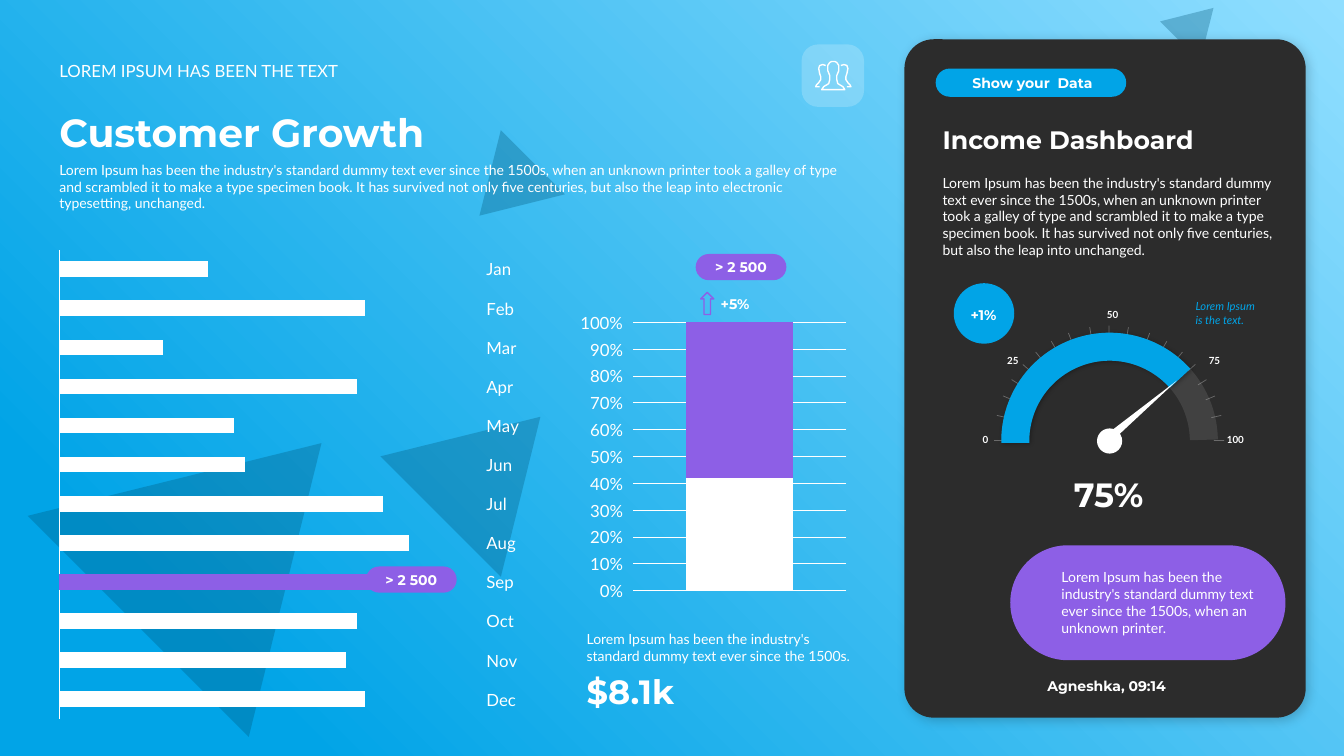
import math
import lxml.etree
import pptx
import pptx.chart.data
import pptx.dml.color
import pptx.enum.chart
import pptx.enum.shapes
import pptx.enum.text
import pptx.oxml
import pptx.oxml.ns
import pptx.util

Inches = pptx.util.Inches
Pt = pptx.util.Pt
qn = pptx.oxml.ns.qn
Shape = pptx.enum.shapes.MSO_SHAPE
Align = pptx.enum.text.PP_ALIGN
Anchor = pptx.enum.text.MSO_ANCHOR
AutoSize = pptx.enum.text.MSO_AUTO_SIZE
ChartType = pptx.enum.chart.XL_CHART_TYPE
LabelPosition = pptx.enum.chart.XL_TICK_LABEL_POSITION
TickMark = pptx.enum.chart.XL_TICK_MARK

WHITE, BLUE, PURPLE, DARK, SHADE = "FFFFFF", "01A4E7", "8D5FE6", "2C2C2C", "005274"
BODY, HEADING = "Lato", "Montserrat"
LOREM = "Lorem Ipsum has been the industry's standard dummy text ever since the 1500s"
STORY = LOREM + (", when an unknown printer took a galley of type and scrambled it to make "
                 "a type specimen book. It has survived not only five centuries, but also the leap into ")


def color(value):
    return pptx.dml.color.RGBColor.from_string(value)


class Board:
    def __init__(self, slide):
        self.slide = slide
        self.shapes = slide.shapes

    def paint(self, fill, value, alpha=100):
        fill.solid()
        fill.fore_color.rgb = color(value)
        if alpha < 100:
            element = fill._xPr.find(".//" + qn("a:srgbClr"))
            lxml.etree.SubElement(element, qn("a:alpha"), val=str(alpha * 1000))

    def stroke(self, line, value, width, alpha=100):
        self.paint(line.fill, value, alpha)
        line.width = Pt(width)

    def shadow(self, shape, alpha, blur, distance):
        effects = shape._element.spPr.find(qn("a:effectLst"))
        outer = lxml.etree.SubElement(effects, qn("a:outerShdw"), blurRad=str(Pt(blur)),
                                      dist=str(Pt(distance)), dir="2700000", rotWithShape="0")
        shade = lxml.etree.SubElement(outer, qn("a:srgbClr"), val="000000")
        lxml.etree.SubElement(shade, qn("a:alpha"), val=str(alpha * 1000))

    def shape(self, kind, box, fill=None, alpha=100, rotation=0, adjust=(), line=None):
        shape = self.shapes.add_shape(kind, *map(Inches, box))
        shape.shadow.inherit = False
        shape.rotation = rotation
        for index, value in enumerate(adjust):
            shape.adjustments[index] = value
        if fill:
            self.paint(shape.fill, fill, alpha)
        else:
            shape.fill.background()
        if line:
            self.stroke(shape.line, *line)
        else:
            shape.line.fill.background()
        return shape

    def label(self, shape, words, size, font, ink=WHITE, align=Align.LEFT, anchor=Anchor.TOP,
              insets=(0.1, 0.05), wrap=True, italic=False, bold=None, after=0):
        frame = shape.text_frame
        frame.word_wrap = wrap
        frame.vertical_anchor = anchor
        frame.margin_left = frame.margin_right = Inches(insets[0])
        frame.margin_top = frame.margin_bottom = Inches(insets[1])
        paragraph = frame.paragraphs[0]
        paragraph.text = words
        paragraph.alignment = align
        paragraph.space_after = Pt(after)
        paragraph.font.name = font
        paragraph.font.size = Pt(size)
        paragraph.font.bold = font == HEADING if bold is None else bold
        paragraph.font.italic = italic
        paragraph.font.color.rgb = color(ink)

    def text(self, box, words, size, font, **style):
        shape = self.shapes.add_textbox(*map(Inches, box))
        self.label(shape, words, size, font, **style)
        shape.text_frame.auto_size = AutoSize.SHAPE_TO_FIT_TEXT

    def badge(self, left, top, words):
        shape = self.shape(Shape.ROUNDED_RECTANGLE, (left, top, 0.9, 0.26), PURPLE, adjust=[0.5])
        self.label(shape, words, 10, HEADING, align=Align.CENTER, anchor=Anchor.MIDDLE, insets=(0, 0))

    def line(self, start, end, value, width, alpha):
        connector = self.shapes.add_connector(pptx.enum.shapes.MSO_CONNECTOR.STRAIGHT,
                                              *map(Inches, (*start, *end)))
        self.stroke(connector.line, value, width, alpha)
        lxml.etree.SubElement(connector._element.spPr, qn("a:effectLst"))

    def outline(self, points, close):
        builder = self.shapes.build_freeform(*map(Inches, points[0]))
        builder.add_line_segments([tuple(map(Inches, point)) for point in points[1:]], close=close)
        shape = builder.convert_to_shape()
        shape.shadow.inherit = False
        shape.fill.background()
        self.stroke(shape.line, WHITE, 1)

    def chart(self, kind, box, categories, series, gap, overlap, plot_area):
        data = pptx.chart.data.CategoryChartData()
        data.categories = categories
        for name, values, *_ in series:
            data.add_series(name, values)
        chart = self.shapes.add_chart(kind, *map(Inches, box), data).chart
        chart.has_legend = chart.has_title = False
        chart.font.name = BODY
        chart.font.size = Pt(12)
        chart.font.color.rgb = color(WHITE)
        plot = chart.plots[0]
        plot.vary_by_categories = False
        plot.gap_width, plot.overlap = gap, overlap
        for item, (_, _, fill, points) in zip(plot.series, series):
            self.paint(item.format.fill, fill)
            item.invert_if_negative = False
            for index, point_fill in points.items():
                self.paint(item.points[index].format.fill, point_fill)
        area = chart._chartSpace.chart.plotArea
        for old in area.findall(qn("c:layout")):
            area.remove(old)
        layout = lxml.etree.Element(qn("c:layout"))
        manual = lxml.etree.SubElement(layout, qn("c:manualLayout"))
        settings = [("layoutTarget", "inner"), ("xMode", "edge"), ("yMode", "edge"),
                    *zip("xywh", map(str, plot_area))]
        for name, value in settings:
            lxml.etree.SubElement(manual, qn("c:" + name), val=value)
        area.insert(0, layout)
        return chart


def draw_background(board):
    board.paint(board.slide.background.fill, DARK)
    backdrop = board.shape(Shape.RECTANGLE, (0, 0, 13.33, 7.5))
    backdrop.fill.gradient()
    for stop, value, position in zip(backdrop.fill.gradient_stops, ("90DEFF", BLUE), (0, 0.85)):
        stop.color.rgb = color(value)
        stop.position = position
    gradient = backdrop._element.spPr.find(qn("a:gradFill"))
    gradient.remove(gradient.find(qn("a:lin")))
    radial = lxml.etree.SubElement(gradient, qn("a:path"))
    radial.set("path", "circle")
    lxml.etree.SubElement(radial, qn("a:fillToRect"), l="100000", b="100000")
    for box, flipped in (((0.73, 4.02, 3.1, 2.57), False), ((4.02, 3.93, 1.69, 1.4), False),
                         ((4.57, 1.5, 0.9, 0.75), True), ((11.59, 0.01, 0.56, 0.47), False)):
        triangle = board.shape(Shape.ISOSCELES_TRIANGLE, box, SHADE, 30, 45)
        if flipped:
            triangle._element.spPr.find(qn("a:xfrm")).set("flipV", "1")
    panel = board.shape(Shape.ROUNDED_RECTANGLE, (8.97, 0.39, 3.98, 6.73), DARK, adjust=[0.073])
    board.shadow(panel, 20, 8, 3)


def draw_people(board):
    board.shape(Shape.ROUNDED_RECTANGLE, (7.95, 0.44, 0.62, 0.62), WHITE, 20, adjust=[0.265])
    middle = [(8.25, 0.61), (8.23, 0.62), (8.21, 0.65), (8.21, 0.7), (8.23, 0.75), (8.23, 0.79),
              (8.22, 0.83), (8.17, 0.86), (8.15, 0.89)]
    side = [(8.19, 0.65), (8.16, 0.64), (8.13, 0.65), (8.12, 0.68), (8.13, 0.73), (8.14, 0.76),
            (8.14, 0.79), (8.12, 0.82), (8.1, 0.84), (8.09, 0.86), (8.13, 0.86)]

    def mirror(points):
        return [(16.53 - x, y) for x, y in points]

    board.outline(middle + mirror(middle)[::-1], True)
    board.outline(side, False)
    board.outline(mirror(side), False)


def draw_growth(board):
    board.text((0.49, 1.55, 8.08, 0.61), STORY + "electronic typesetting, unchanged.", 10, BODY, after=6)
    board.text((0.49, 1.02, 8.08, 0.57), "Customer Growth", 28, HEADING, anchor=Anchor.BOTTOM)
    board.text((0.49, 0.55, 8.08, 0.3), "LOREM IPSUM HAS BEEN THE TEXT", 12, BODY, anchor=Anchor.BOTTOM)
    draw_people(board)
    months = "Jan Feb Mar Apr May Jun Jul Aug Sep Oct Nov Dec".split()
    customers = [40, 82, 28, 80, 47, 50, 87, 94, 100, 80, 77, 82]
    bars = board.chart(ChartType.BAR_CLUSTERED, (0.49, 2.38, 4.76, 4.85), months,
                       [("Series 1", customers, WHITE, {8: PURPLE})], 150, -25, (0.02, 0.02, 0.87, 0.96))
    axis = bars.category_axis
    axis.reverse_order = True
    axis.major_tick_mark = TickMark.NONE
    axis.tick_label_position = LabelPosition.HIGH
    board.stroke(axis.format.line, WHITE, 0.75)
    bars.value_axis.visible = bars.value_axis.has_major_gridlines = False
    bars.value_axis.minimum_scale, bars.value_axis.maximum_scale = 0, 112
    board.badge(6.9, 2.52, "> 2 500")
    board.text((5.72, 6.61, 2.91, 0.5), "$8.1k", 24, HEADING, anchor=Anchor.BOTTOM)
    board.text((5.72, 6.2, 2.91, 0.44), LOREM + ".", 10, BODY, anchor=Anchor.BOTTOM)
    board.text((7.08, 2.88, 0.42, 0.27), "+5%", 10, HEADING, align=Align.CENTER, insets=(0, 0.05))
    board.shape(Shape.UP_ARROW, (6.95, 2.9, 0.13, 0.22), line=(PURPLE, 1))
    share = board.chart(ChartType.COLUMN_STACKED_100, (5.7, 3.05, 2.75, 2.99), ["1"],
                        [("Series 1", [42], BLUE, {0: WHITE}), ("Series 2", [58], PURPLE, {})],
                        100, 100, (0.21, 0.05, 0.77, 0.89))
    share.category_axis.visible = False
    axis = share.value_axis
    axis.format.line.fill.background()
    axis.major_tick_mark = TickMark.OUTSIDE
    axis.tick_labels.number_format = "0%"
    axis.tick_labels.number_format_is_linked = False
    board.stroke(axis.major_gridlines.format.line, WHITE, 0.75)
    board.badge(3.63, 5.62, "> 2 500")


def draw_gauge(board):
    board.shapes = board.slide.shapes.add_group_shape().shapes
    ring = (10.07, 3.44, 1.87, 1.87)
    board.shape(Shape.ARC, ring, adjust=(108.1, 215.58), line=(WHITE, 20, 10))
    board.shape(Shape.OVAL, (10.88, 4.25, 0.25, 0.25), WHITE)
    quarter = [0, 12.6, 22.8, 32, 41.4, 50.3, 59.8, 69.3, 80.3]
    for angle in quarter + [90] + [180 - value for value in quarter]:
        x, y = math.cos(math.radians(angle)), math.sin(math.radians(angle))
        start, end = ((11 - radius * x, 4.37 - radius * y) for radius in (1.14, 1.04))
        board.line(start, end, WHITE, 0.5, 30)
    for left, top, width, words, align, anchor in (
            (9.56, 4.22, 0.34, "0", Align.RIGHT, Anchor.MIDDLE),
            (9.79, 3.44, 0.41, "25", Align.RIGHT, Anchor.MIDDLE),
            (10.78, 2.95, 0.41, "50", Align.RIGHT, Anchor.BOTTOM),
            (11.89, 3.44, 0.41, "75", Align.LEFT, Anchor.MIDDLE),
            (12.07, 4.22, 0.59, "100", Align.LEFT, Anchor.MIDDLE)):
        board.text((left, top, width, 0.28), words, 7, BODY, align=align, anchor=anchor,
                   wrap=words == "100", bold=True)
    progress = board.shape(Shape.ARC, ring, adjust=(107.34, 191.03), line=(BLUE, 20))
    board.shadow(progress, 30, 3, 1)
    board.shapes = board.slide.shapes
    board.shape(Shape.ISOSCELES_TRIANGLE, (11.32, 3.63, 0.08, 0.82), WHITE, rotation=49.8)


def draw_income(board):
    centered = {"align": Align.CENTER, "anchor": Anchor.MIDDLE}
    board.text((9.25, 1.68, 3.5, 0.94), STORY + "unchanged.", 10, BODY, after=6)
    board.text((9.25, 1.18, 3.5, 0.4), "Income Dashboard", 18, HEADING, anchor=Anchor.BOTTOM)
    board.shape(Shape.ROUNDED_RECTANGLE, (9.28, 0.68, 1.89, 0.28), BLUE, adjust=[0.5])
    board.text((9.37, 0.69, 1.74, 0.27), "Show your  Data", 10, HEADING, **centered)
    draw_gauge(board)
    board.shape(Shape.OVAL, (9.46, 2.81, 0.6, 0.6), BLUE)
    board.text((9.51, 2.99, 0.49, 0.27), "+1%", 10, HEADING, insets=(0, 0.05), **centered)
    board.text((11.76, 2.92, 0.87, 0.37), "Lorem Ipsum is the text.", 8, BODY, ink=BLUE,
               anchor=Anchor.MIDDLE, italic=True)
    board.text((9.8, 4.65, 2.39, 0.5), "75%", 24, HEADING, align=Align.CENTER, anchor=Anchor.BOTTOM)
    board.shape(Shape.ROUNDED_RECTANGLE, (10.02, 5.41, 2.73, 1.14), PURPLE, adjust=[0.5])
    board.text((10.43, 5.59, 2.13, 0.77), LOREM + ", when an unknown printer.", 10, BODY, anchor=Anchor.MIDDLE)
    board.text((10.29, 6.67, 2.28, 0.27), "Agneshka, 09:14", 10, HEADING, anchor=Anchor.BOTTOM)


def main():
    presentation = pptx.Presentation()
    presentation.slide_width, presentation.slide_height = Inches(13.33), Inches(7.5)
    board = Board(presentation.slides.add_slide(presentation.slide_layouts[6]))
    draw_background(board)
    draw_growth(board)
    draw_income(board)
    presentation.save("out.pptx")


if __name__ == "__main__":
    main()
